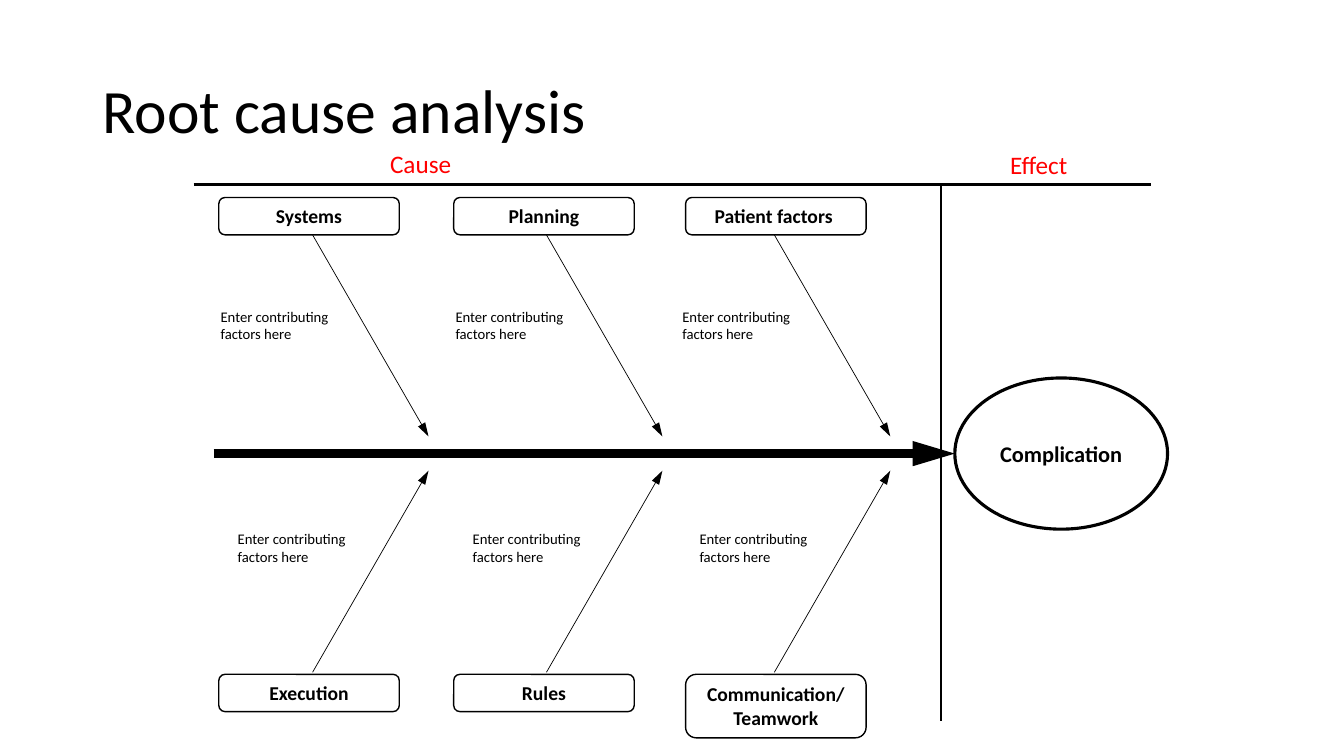
from pptx import Presentation
from pptx.dml.color import RGBColor
from pptx.enum.shapes import MSO_CONNECTOR, MSO_SHAPE
from pptx.enum.text import MSO_ANCHOR, MSO_AUTO_SIZE, PP_ALIGN
from pptx.oxml.ns import qn
from pptx.util import Pt
from lxml import etree

PX = 9144  # EMU per px, 100 px to the inch
STRAIGHT = MSO_CONNECTOR.STRAIGHT
ROUNDED, OVAL = MSO_SHAPE.ROUNDED_RECTANGLE, MSO_SHAPE.OVAL
TOP, MIDDLE = MSO_ANCHOR.TOP, MSO_ANCHOR.MIDDLE
LEFT, CENTER = PP_ALIGN.LEFT, PP_ALIGN.CENTER
GROW = MSO_AUTO_SIZE.SHAPE_TO_FIT_TEXT

THEME = {
    "font": "Calibri",
    "ink": RGBColor(0, 0, 0),
    "accent": RGBColor(255, 0, 0),
    "paper": RGBColor(255, 255, 255),
    "title": 44, "heading": 18, "effect": 16, "category": 14, "factor": 10.5,
}

presentation = Presentation()
presentation.slide_width, presentation.slide_height = 1333 * PX, 750 * PX
slide = presentation.slides.add_slide(presentation.slide_layouts[6])


def add_text(box, lines, size, preset=None, color="ink", wrap=False, anchor=TOP, line_spacing=None):
    """Add a text box, or an outlined preset shape, holding one paragraph a line."""
    area = [value * PX for value in box]
    if preset is None:
        shape = slide.shapes.add_textbox(*area)
    else:
        shape = slide.shapes.add_shape(preset, *area)
        shape.shadow.inherit = False
        shape.line.color.rgb = THEME["ink"]
    frame = shape.text_frame
    frame.word_wrap = wrap
    frame.vertical_anchor = anchor
    if anchor == TOP:
        frame.auto_size = GROW
    for index, line in enumerate(lines):
        paragraph = frame.add_paragraph() if index else frame.paragraphs[0]
        paragraph.alignment = CENTER if preset else LEFT
        paragraph.line_spacing = line_spacing
        run = paragraph.add_run()
        run.text = line
        run.font.name = THEME["font"]
        run.font.size = Pt(THEME[size])
        run.font.bold = preset is not None
        run.font.color.rgb = THEME[color]
    return shape


def add_line(start, end, width, arrow=False):
    points = [value * PX for value in (*start, *end)]
    connector = slide.shapes.add_connector(STRAIGHT, *points)
    connector.line.color.rgb = THEME["ink"]
    connector.line.width = Pt(width)
    if arrow:
        outline = connector.line._get_or_add_ln()
        etree.SubElement(outline, qn("a:tailEnd"), type="triangle", w="med", len="lg")
    etree.SubElement(connector._element.spPr, qn("a:effectLst"))


# Title
add_text((92, 40, 1150, 145), ["Root cause analysis"], "title",
         wrap=True, anchor=MIDDLE, line_spacing=0.9)

# Effect and spine
complication = add_text((947, 375, 211, 150), ["Complication"], "effect", OVAL, anchor=MIDDLE)
complication.fill.background()
complication.line.width = Pt(2.25)
add_line((212, 450), (947, 450), 6, arrow=True)

# Cause and effect headings with their rules
add_line((192, 183), (1142, 183), 1.5)
add_line((933, 715), (933, 183), 1.5)
add_text((377, 142, 82, 40), ["Cause"], "heading", color="accent")
add_text((992, 143, 78, 40), ["Effect"], "heading", color="accent")

# Ribs: category box, arrow to the spine, contributing factors
# Each side: box top, arrow start y, arrow end y, note top, note shift
upper = (196, 233, 433, 300, 0)
lower = (669, 667, 467, 521, 17)
# Each column: box left, arrow start x, note left, upper and lower category
columns = [
    (217, 310, 209, ["Systems"], ["Execution"]),
    (450, 542, 442, ["Planning"], ["Rules"]),
    (680, 768, 667, ["Patient factors "], ["Communication/", "Teamwork"]),
]
for box_left, rib_x, note_left, *categories in columns:
    for side, category in zip((upper, lower), categories):
        box_top, rib_start, rib_end, note_top, note_shift = side
        box_height = 37 + 26 * (len(category) - 1)
        box = add_text((box_left, box_top, 179, box_height), category, "category", ROUNDED, wrap=True)
        box.fill.solid()
        box.fill.fore_color.rgb = THEME["paper"]
        box.line.width = Pt(1)
        add_line((rib_x, rib_start), (rib_x + 115, rib_end), 0.5, arrow=True)
        add_text((note_left + note_shift, note_top, 133, 45),
                 ["Enter contributing", "factors here"], "factor")

presentation.save("out.pptx")
